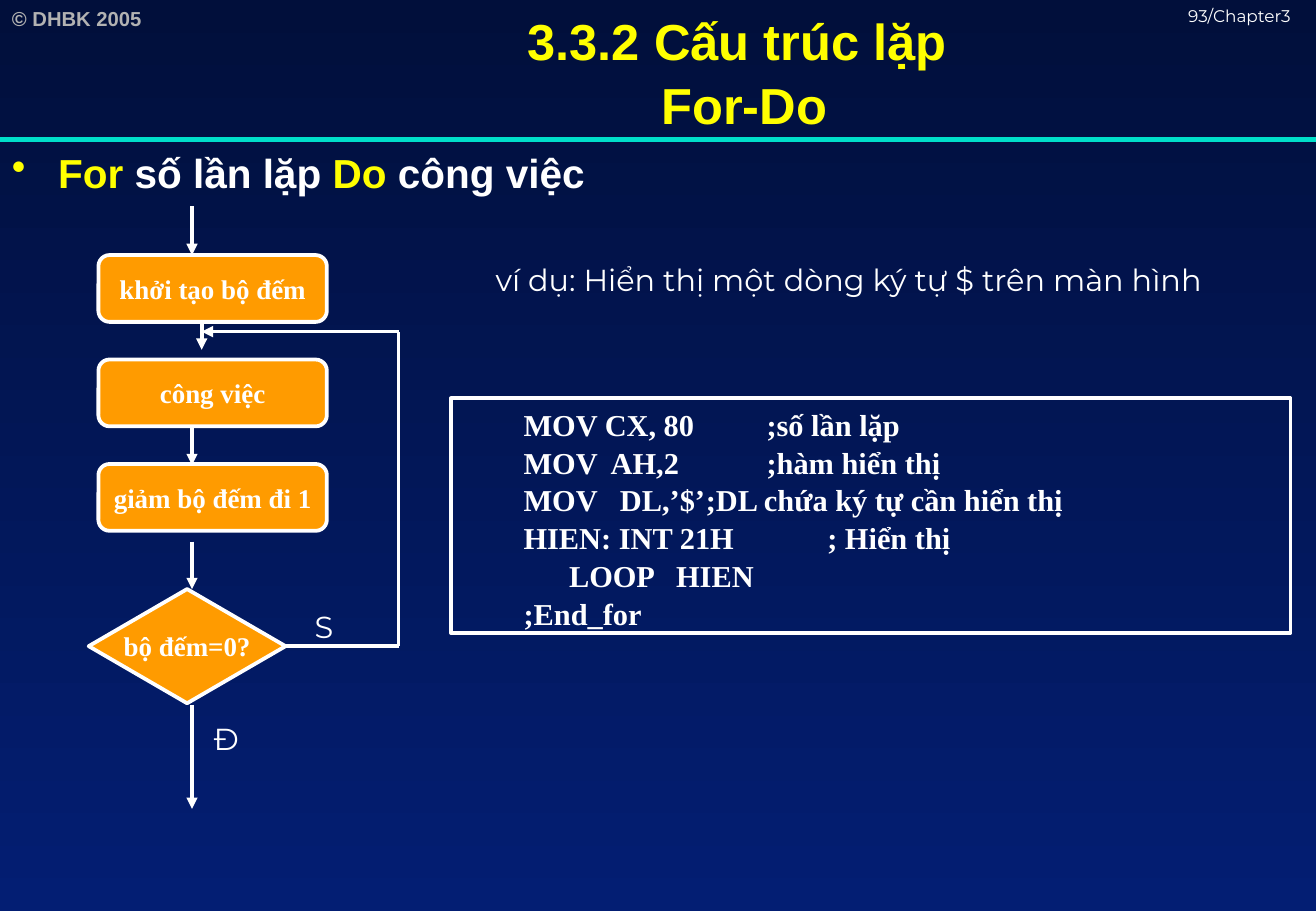
from lxml.etree import SubElement
from pptx import Presentation
from pptx.dml.color import RGBColor
from pptx.enum.shapes import MSO_CONNECTOR, MSO_SHAPE
from pptx.enum.text import MSO_ANCHOR, PP_ALIGN
from pptx.oxml.ns import qn
from pptx.util import Inches, Pt

NAVY = RGBColor(0x01, 0x0F, 0x3B)
BLUE = RGBColor(0x03, 0x1E, 0x73)
YELLOW = RGBColor(0xFF, 0xFF, 0x00)
WHITE = RGBColor(0xFF, 0xFF, 0xFF)
GREY = RGBColor(0xB2, 0xB2, 0xB2)
TEAL = RGBColor(0x00, 0xDF, 0xCA)
ORANGE = RGBColor(0xFF, 0x9B, 0x00)

CREDIT = dict(name="Arial", size=Pt(12), bold=True, color=GREY)
PAGE = dict(name="Montserrat", size=Pt(10), color=WHITE)
TITLE = dict(name="Arial", size=Pt(30), bold=True, color=YELLOW)
KEYWORD = dict(name="Arial", size=Pt(24), bold=True, color=YELLOW)
BODY = dict(KEYWORD, color=WHITE)
LABEL = dict(name="Montserrat", size=Pt(18), color=WHITE)
CODE = dict(name="Times New Roman", size=Pt(18), bold=True, color=WHITE)
STEP = dict(CODE, size=Pt(16))

CODE_LINES = [
    "MOV CX, 80\t\t;số lần lặp",
    "MOV  AH,2\t\t;hàm hiển thị",
    "MOV   DL,’$’\t;DL chứa ký tự cần hiển thị",
    "HIEN: INT 21H\t\t; Hiển thị",
    "      LOOP   HIEN",
    ";End_for",
]


class SlideBuilder:
    def __init__(self, slide):
        self.s = slide
        self.line_color = WHITE
        self.line_width = Pt(2.25)

    def background(self, top, bottom):
        fill = self.s.background.fill
        fill.gradient()
        fill.gradient_angle = 270
        for stop, color in zip(fill.gradient_stops, (top, bottom)):
            stop.color.rgb = color

    def run(self, p, text, style):
        r = p.add_run()
        r.text = text
        for key, value in style.items():
            if key == "color":
                r.font.color.rgb = value
            else:
                setattr(r.font, key, value)

    def indent(self, p, left, first=0, bullet=None):
        pPr = p._p.get_or_add_pPr()
        pPr.set("marL", str(Inches(left)))
        pPr.set("indent", str(Inches(first)))
        if bullet:
            SubElement(pPr, qn("a:buChar")).set("char", bullet)

    def text(self, box, content, style, **frame):
        """Add a text box; content is a string or a list of (text, style) runs."""
        tf = self.s.shapes.add_textbox(*map(Inches, box)).text_frame
        for key, value in dict(word_wrap=True, **frame).items():
            setattr(tf, key, value)
        p = tf.paragraphs[0]
        runs = [(content, style)] if isinstance(content, str) else content
        for words, run_style in runs:
            self.run(p, words, run_style)
        return p

    def shape(self, kind, box, fill=None):
        sp = self.s.shapes.add_shape(kind, *map(Inches, box))
        sp.shadow.inherit = False
        sp.line.color.rgb = self.line_color
        sp.line.width = self.line_width
        if fill is None:
            sp.fill.background()
        else:
            sp.fill.solid()
            sp.fill.fore_color.rgb = fill
        return sp

    def step(self, kind, box, text):
        tf = self.shape(kind, box, ORANGE).text_frame
        tf.word_wrap = False
        tf.vertical_anchor = MSO_ANCHOR.MIDDLE
        p = tf.paragraphs[0]
        p.alignment = PP_ALIGN.CENTER
        self.run(p, text, STEP)

    def code(self, box, lines):
        tf = self.shape(MSO_SHAPE.RECTANGLE, box).text_frame
        tf.word_wrap = True
        tf.vertical_anchor = MSO_ANCHOR.TOP
        for i, line in enumerate(lines):
            p = tf.add_paragraph() if i else tf.paragraphs[0]
            p.alignment = PP_ALIGN.LEFT
            p.line_spacing = 1.04
            self.indent(p, 0.5)
            self.run(p, line, CODE)

    def line(self, start, end, arrow=False, color=None, width=None):
        cx = self.s.shapes.add_connector(
            MSO_CONNECTOR.STRAIGHT, *map(Inches, (*start, *end)))
        cx.line.color.rgb = color or self.line_color
        cx.line.width = width or self.line_width
        spPr = cx._element.spPr
        if arrow:
            SubElement(spPr.find(qn("a:ln")), qn("a:tailEnd")).set("type", "triangle")
        SubElement(spPr, qn("a:effectLst"))


def build_header(b):
    b.text((0, 0, 1.57, 0.3), "© DHBK 2005", CREDIT)
    b.line((0, 1.15), (10.83, 1.15), color=TEAL, width=Pt(3))
    b.text((9.68, 0, 1.58, 0.25), "93/Chapter3", PAGE)
    title = b.text((1.41, 0, 9.43, 1.17), [], TITLE, vertical_anchor=MSO_ANCHOR.MIDDLE)
    title.alignment = PP_ALIGN.CENTER
    title.line_spacing = 1.04
    b.run(title, "3.3.2 Cấu trúc lặp ", TITLE)
    title.add_line_break()
    b.run(title, "For-Do", TITLE)
    syntax = [("For", KEYWORD), (" số lần lặp ", BODY), ("Do", KEYWORD), (" công việc", BODY)]
    b.indent(b.text((0, 1.17, 10.83, 6.33), syntax, BODY), 0.38, -0.38, "•")


def build_flowchart(b):
    steps = ["khởi tạo bộ đếm", "công việc", "giảm bộ đếm đi 1"]
    for i, text in enumerate(steps):
        b.step(MSO_SHAPE.FLOWCHART_ALTERNATE_PROCESS, (0.81, 2.1 + 0.86 * i, 1.88, 0.55), text)
    b.step(MSO_SHAPE.FLOWCHART_DECISION, (0.73, 4.85, 1.62, 0.94), "bộ đếm=0?")

    for x, top, bottom in [(1.58, 1.7, 2.1), (1.66, 2.65, 2.88), (1.58, 3.51, 3.83),
                           (1.58, 4.46, 4.85), (1.58, 5.8, 6.66)]:
        b.line((x, top), (x, bottom), arrow=True)
    loop = [(2.35, 5.32), (3.28, 5.32), (3.28, 2.73), (1.66, 2.73)]
    for start, end in zip(loop, loop[1:]):
        b.line(start, end, arrow=end == loop[-1])

    b.text((2.49, 4.96, 0.41, 0.4), "S", LABEL)
    b.text((1.66, 5.88, 0.43, 0.4), "Đ", LABEL)


def main():
    prs = Presentation()
    prs.slide_width, prs.slide_height = Inches(10.83), Inches(7.5)
    b = SlideBuilder(prs.slides.add_slide(prs.slide_layouts[6]))
    b.background(NAVY, BLUE)
    build_header(b)
    b.code((3.71, 3.28, 6.91, 1.93), CODE_LINES)
    build_flowchart(b)
    b.text((3.98, 2.1, 6.85, 0.4), "ví dụ: Hiển thị một dòng ký tự $ trên màn hình", LABEL)
    prs.save("out.pptx")


if __name__ == "__main__":
    main()
